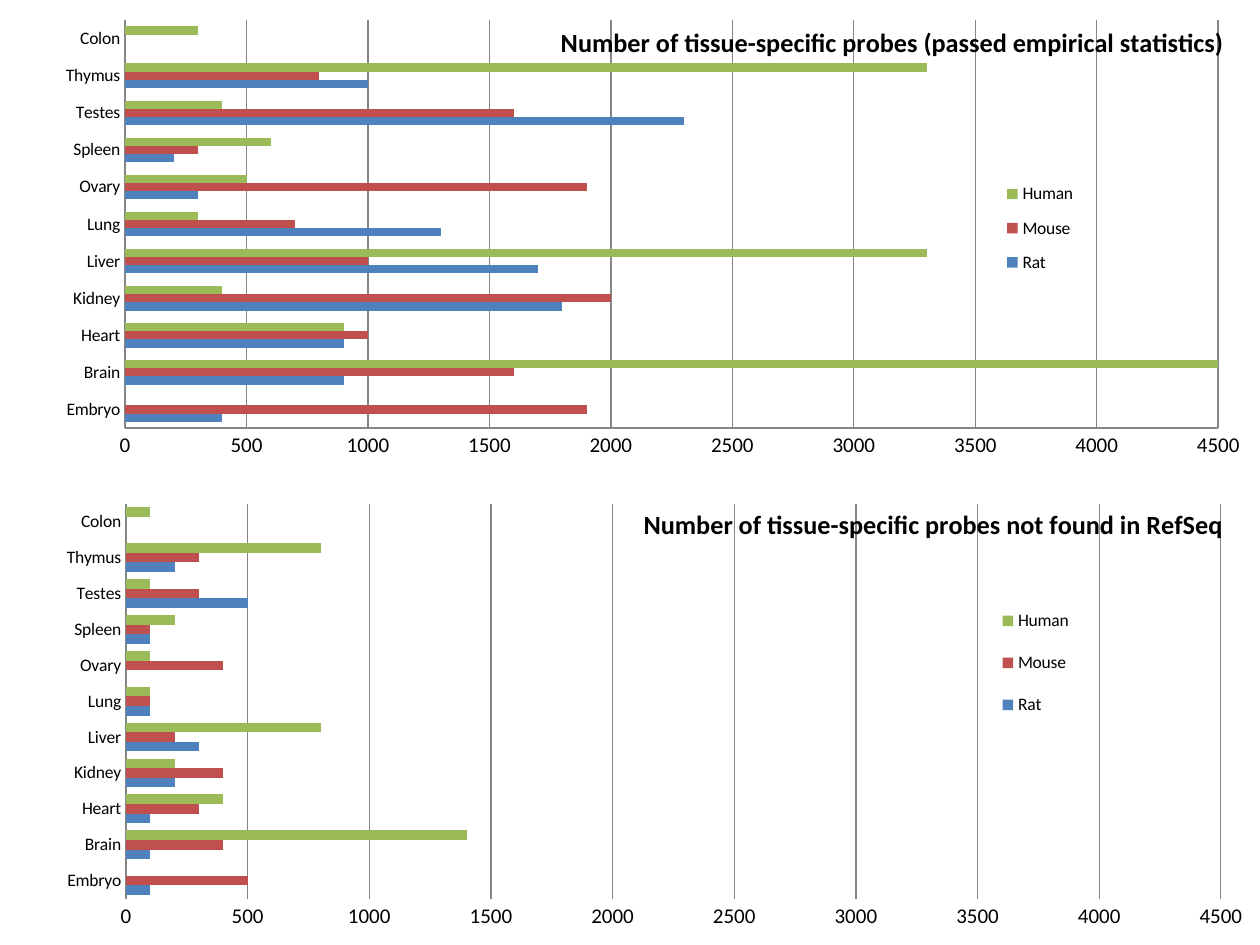
from pptx import Presentation
from pptx import util as u
from pptx.chart.data import CategoryChartData
from pptx.dml.color import RGBColor
from pptx.enum import chart as c
from pptx.oxml import parse_xml
from pptx.oxml.ns import nsdecls, qn

THEME = dict(font="Calibri", text="000000", grid="868686",
             label=10, value=12, title=15,
             Rat="4F81BD", Mouse="C0504D", Human="9BBB59")
TISSUES = ["Embryo", "Brain", "Heart", "Kidney", "Liver", "Lung",
           "Ovary", "Spleen", "Testes", "Thymus", "Colon"]
CHARTS = [
    dict(title="Number of tissue-specific probes not found in RefSeq",
         at=(0, 3.83, 10, 3.67), gap=75, axis_line=False,
         plot_pct=(10, 4.6, 86.9, 85.4), title_pct=(50.7, 4.1),
         legend=c.XL_LEGEND_POSITION.BOTTOM, legend_pct=(78.2, 23, 8, 32),
         series=dict(
             Rat=[100, 100, 100, 200, 300, 100, 0, 100, 500, 200, None],
             Mouse=[500, 400, 300, 400, 200, 100, 400, 100, 300, 300, None],
             Human=[None, 1400, 400, 200, 800, 100, 100, 200, 100, 800, 100])),
    dict(title="Number of tissue-specific probes (passed empirical statistics)",
         at=(-0.03, -0.04, 10.03, 3.79), gap=150, axis_line=True,
         plot_pct=(10.2, 5.3, 86.5, 85.4), title_pct=(44.3, 5.2),
         legend=c.XL_LEGEND_POSITION.RIGHT, legend_pct=(78.6, 36.6, 8, 24.5),
         series=dict(
             Rat=[400, 900, 900, 1800, 1700, 1300, 300, 200, 2300, 1000, None],
             Mouse=[1900, 1600, 1000, 2000, 1000, 700, 1900, 300, 1600, 800, None],
             Human=[None, 4500, 900, 400, 3300, 300, 500, 600, 400, 3300, 300])),
]


def rgb(name):
    return RGBColor.from_string(THEME[name])


def style_font(font, size, bold=False):
    font.name, font.size, font.bold = THEME["font"], u.Pt(THEME[size]), bold
    font.color.rgb = rgb("text")


def style_line(line):
    line.color.rgb = rgb("grid")
    line.width = u.Pt(0.75)


def place(element, percents, inner=False):
    for old in element.findall(qn("c:layout")):
        element.remove(old)
    tags = '<c:layoutTarget val="inner"/>' if inner else ""
    tags += '<c:xMode val="edge"/><c:yMode val="edge"/>'
    tags += "".join(f'<c:{k} val="{v / 100}"/>' for k, v in zip("xywh", percents))
    layout = parse_xml(f'<c:layout {nsdecls("c")}><c:manualLayout>{tags}'
                       '</c:manualLayout></c:layout>')
    before = element.xpath("c:tx | c:legendPos")
    if before:
        before[-1].addnext(layout)
    else:
        element.insert(0, layout)


def add_bars(s, spec):
    data = CategoryChartData()
    data.categories = TISSUES
    for name, values in spec["series"].items():
        data.add_series(name, values)
    chart = s.shapes.add_chart(c.XL_CHART_TYPE.BAR_CLUSTERED,
                               *map(u.Inches, spec["at"]), data).chart
    style_font(chart.font, "label")

    chart.has_title = True
    r = chart.chart_title.text_frame.paragraphs[0].add_run()
    r.text = spec["title"]
    style_font(r.font, "title", True)
    chart.chart_title.include_in_layout = True
    body = chart._chartSpace.chart
    place(body.find(qn("c:title")), spec["title_pct"])
    place(body.plotArea, spec["plot_pct"], True)

    chart.has_legend = True
    chart.legend.position = spec["legend"]
    chart.legend.include_in_layout = False
    style_font(chart.legend.font, "label")
    place(chart.legend._element, spec["legend_pct"])

    plot = chart.plots[0]
    plot.gap_width, plot.overlap, plot.vary_by_categories = spec["gap"], 0, False
    for series in plot.series:
        series.format.fill.solid()
        series.format.fill.fore_color.rgb = rgb(series.name)

    cat, val = chart.category_axis, chart.value_axis
    for axis, size in ((cat, "label"), (val, "value")):
        axis.major_tick_mark = axis.minor_tick_mark = c.XL_TICK_MARK.NONE
        style_font(axis.tick_labels.font, size)
        style_line(axis.format.line)
    val.minimum_scale, val.maximum_scale, val.major_unit = 0, 4500, 500
    val.tick_labels.number_format = "General"
    val.tick_labels.number_format_is_linked = False
    val.has_major_gridlines = True
    style_line(val.major_gridlines.format.line)
    if not spec["axis_line"]:
        val.format.line.fill.background()


prs = Presentation()
prs.slide_width, prs.slide_height = u.Inches(10), u.Inches(7.5)
s = prs.slides.add_slide(prs.slide_layouts[6])
for spec in CHARTS:
    add_bars(s, spec)
prs.save("out.pptx")
